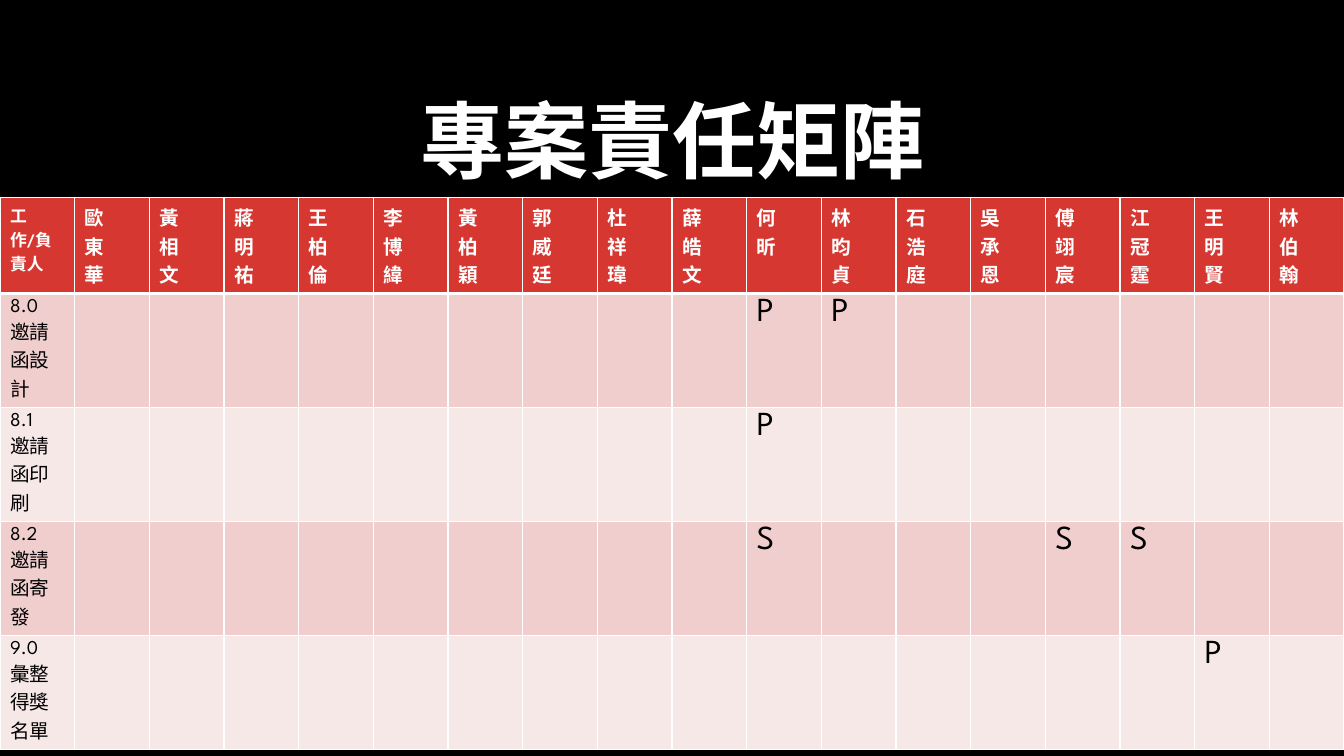
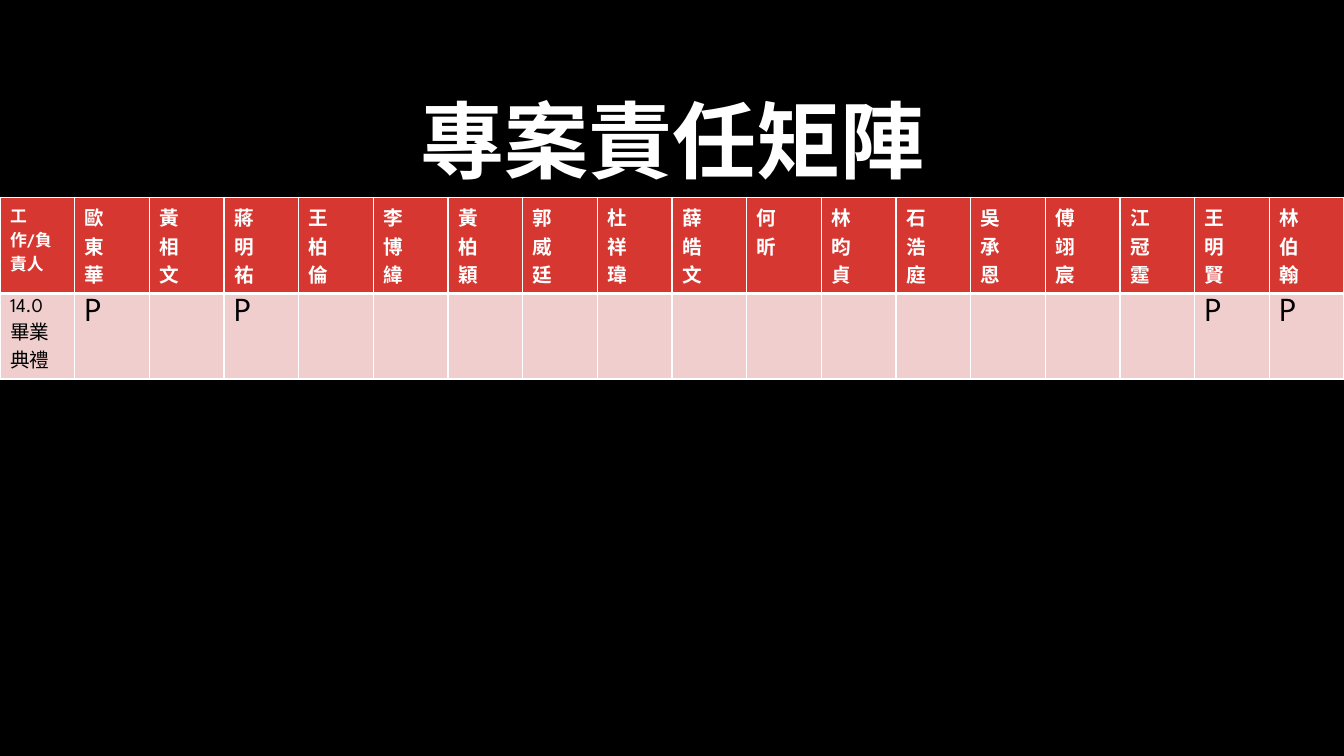
"""Builds the two slides of the project responsibility matrix."""
from lxml import etree
from pptx import Presentation
from pptx import util as u
from pptx.dml.color import RGBColor
from pptx.enum import text
from pptx.oxml import ns

COLORS = {"black": "000000", "white": "FFFFFF", "header": "D63731",
          "dark_band": "F0CECE", "light_band": "F7E8E8"}
CJK_FONT = "Noto Sans CJK TC"
LATIN_FONT = "League Spartan"
FORMATS = {
    "title": {"size": u.Pt(60), "bold": True, "name": CJK_FONT},
    "corner": {"size": u.Pt(12), "bold": True, "name": LATIN_FONT},
    "member": {"size": u.Pt(14), "bold": True, "name": LATIN_FONT},
    "task": {"size": u.Pt(14), "bold": False, "name": LATIN_FONT},
    "role": {"size": u.Pt(24), "bold": False, "name": LATIN_FONT},
}
TITLE = "專案責任矩陣"
CORNER = "工作/負責人"
MEMBERS = ["歐東華", "黃相文", "蔣明祐", "王柏倫", "李博緯", "黃柏穎",
           "郭威廷", "杜祥瑋", "薛皓文", "何昕", "林昀貞", "石浩庭",
           "吳承恩", "傅翊宸", "江冠霆", "王明賢", "林伯翰"]
SLIDES = [
    [("8.0", "邀請函設計", 3, {"何昕": "P", "林昀貞": "P"}),
     ("8.1", "邀請函印刷", 3, {"何昕": "P"}),
     ("8.2", "邀請函寄發", 3, {"何昕": "S", "傅翊宸": "S", "江冠霆": "S"}),
     ("9.0", "彙整得獎名單", 3, {"王明賢": "P"})],
    [("14.0", "畢業典禮", 2,
      {"歐東華": "P", "蔣明祐": "P", "王明賢": "P", "林伯翰": "P"})],
]


class MatrixDeck:
    """Holds the shared style and the current slide."""

    def __init__(self):
        """Start a wide presentation with a black background."""
        self.presentation = Presentation()
        self.presentation.slide_width = u.Inches(13.33)
        self.presentation.slide_height = u.Inches(7.5)
        fill = self.presentation.slide_master.background.fill
        fill.solid()
        fill.fore_color.rgb = RGBColor.from_string(COLORS["black"])
        self.slide = None

    def add_slide(self, title):
        """Add a title-only slide and format its title."""
        layout = self.presentation.slide_layouts[5]
        self.slide = self.presentation.slides.add_slide(layout)
        shape = self.slide.shapes.title
        box = {"left": 1.96, "top": 0.74, "width": 9.42, "height": 1.41}
        for name, value in box.items():
            setattr(shape, name, u.Inches(value))
        frame = shape.text_frame
        frame.auto_size = text.MSO_AUTO_SIZE.NONE
        frame.vertical_anchor = text.MSO_ANCHOR.MIDDLE
        self.add_lines(frame, [title], "title", "white")
        paragraph = frame.paragraphs[0]
        paragraph.alignment = text.PP_ALIGN.CENTER
        paragraph.line_spacing = 0.9

    def add_lines(self, frame, lines, style, color):
        """Add one formatted paragraph for each line."""
        for index, line in enumerate(lines):
            paragraph = frame.add_paragraph() if index else frame.paragraphs[0]
            run = paragraph.add_run()
            run.text = line
            for name, value in FORMATS[style].items():
                setattr(run.font, name, value)
            run.font.color.rgb = RGBColor.from_string(COLORS[color])
            east_asian = etree.SubElement(
                run._r.get_or_add_rPr(), ns.qn("a:ea"))
            east_asian.set("typeface", CJK_FONT)

    def add_borders(self, cell, top, bottom):
        """Draw white cell borders with the given top and bottom widths."""
        properties = cell._tc.get_or_add_tcPr()
        for side, width in {"L": 1, "R": 1, "T": top, "B": bottom}.items():
            line = etree.SubElement(properties, ns.qn(f"a:ln{side}"))
            line.set("w", str(u.Pt(width)))
            fill = etree.SubElement(line, ns.qn("a:solidFill"))
            color = etree.SubElement(fill, ns.qn("a:srgbClr"))
            color.set("val", COLORS["white"])

    def add_matrix(self, tasks):
        """Add the table of tasks against members."""
        heights = [0.95] + [0.29 + 0.28 * lines for _, _, lines, _ in tasks]
        columns = len(MEMBERS) + 1
        table = self.slide.shapes.add_table(
            len(heights), columns, u.Inches(0), u.Inches(1.96),
            u.Inches(13.33), u.Inches(sum(heights))).table
        table.first_row = table.horz_banding = False
        for column in table.columns:
            column.width = u.Inches(13.33 / columns)
        for index, height in enumerate(heights):
            table.rows[index].height = u.Inches(height)
            band = "dark_band" if index % 2 else "light_band"
            for column in range(columns):
                cell = table.cell(index, column)
                self.add_borders(cell, 3 if index == 1 else 1,
                                 1 if index else 3)
                cell.fill.solid()
                cell.fill.fore_color.rgb = RGBColor.from_string(
                    COLORS[band if index else "header"])

        self.add_lines(table.cell(0, 0).text_frame, [CORNER],
                       "corner", "white")
        for column, member in enumerate(MEMBERS, 1):
            self.add_lines(table.cell(0, column).text_frame, member,
                           "member", "white")
        for row, (number, name, _, roles) in enumerate(tasks, 1):
            self.add_lines(table.cell(row, 0).text_frame, [number, name],
                           "task", "black")
            for member, role in roles.items():
                cell = table.cell(row, MEMBERS.index(member) + 1)
                self.add_lines(cell.text_frame, [role], "role", "black")


def main():
    """Build and save the presentation."""
    deck = MatrixDeck()
    for tasks in SLIDES:
        deck.add_slide(TITLE)
        deck.add_matrix(tasks)
    deck.presentation.save("out.pptx")


if __name__ == "__main__":
    main()
